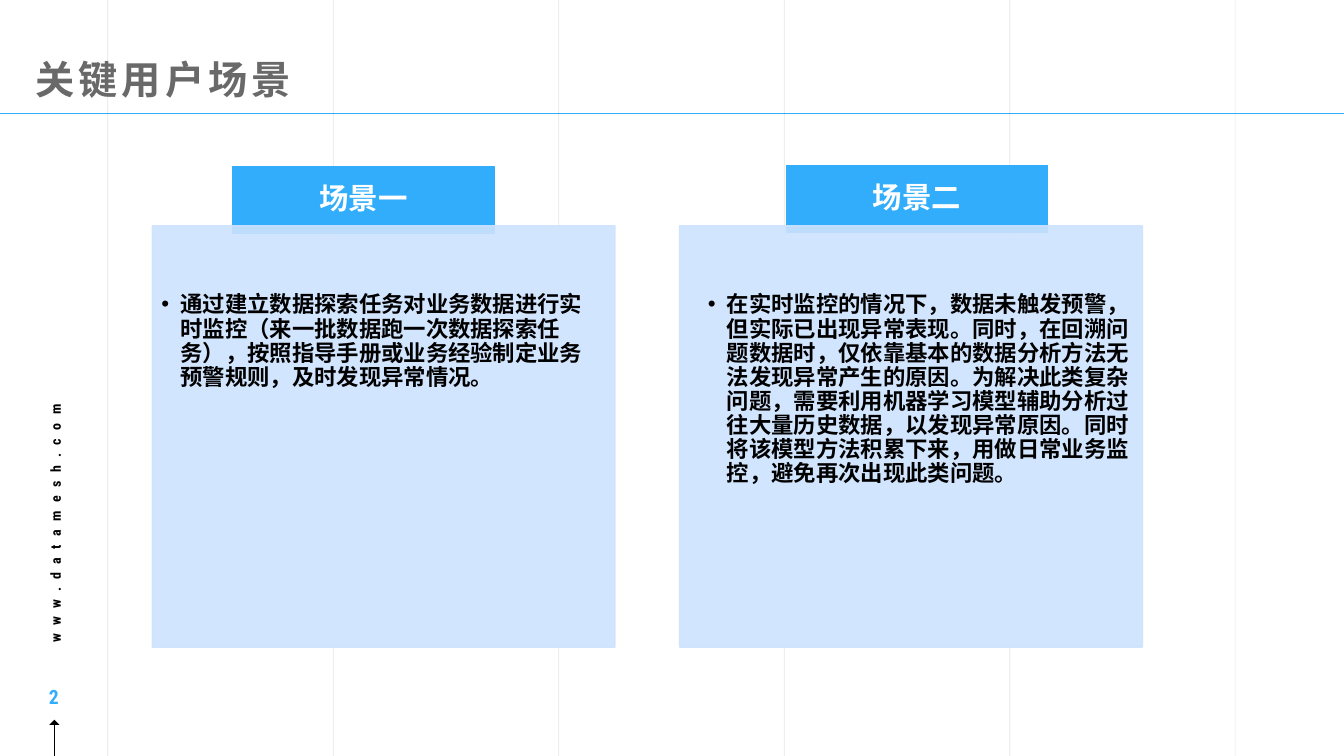
from lxml.etree import SubElement
from pptx import Presentation
from pptx.dml.color import RGBColor
from pptx.enum.shapes import MSO_CONNECTOR, MSO_SHAPE
from pptx.enum.text import MSO_ANCHOR as ANCHOR, PP_ALIGN as ALIGN
from pptx.oxml.ns import qn
from pptx.util import Inches, Pt

BLUE, PALE, BLACK = "31ADFC", "CEE3FE", "000000"
CJK, LATIN = "Noto Sans CJK SC", "Roboto Condensed"


def paint(fill, color):
    fill.solid()
    fill.fore_color.rgb = RGBColor.from_string(color)


def write(s, text, size, color, font=CJK, align=ALIGN.LEFT, anchor=ANCHOR.TOP,
          insets=(0.1, 0.05, 0.1, 0.05), leading=None, spacing=0, bullet=None):
    tf = s.text_frame
    tf.word_wrap = True
    tf.vertical_anchor = anchor
    tf.margin_left, tf.margin_top, tf.margin_right, tf.margin_bottom = map(Inches, insets)
    p = tf.paragraphs[0]
    p.alignment = align
    p.line_spacing = leading
    if bullet:
        pPr = p._p.get_or_add_pPr()
        pPr.set("marL", str(Inches(bullet)))
        pPr.set("indent", str(Inches(-0.19)))
        SubElement(pPr, qn("a:buFont")).set("typeface", "Arial")
        SubElement(pPr, qn("a:buChar")).set("char", "•")
    r = p.add_run()
    r.text = text
    r.font.size, r.font.bold, r.font.name = Pt(size), True, font
    paint(r.font.fill, color)
    rPr = r._r.get_or_add_rPr()
    SubElement(rPr, qn("a:ea")).set("typeface", CJK)
    if spacing:
        rPr.set("spc", str(spacing * 100))


prs = Presentation()
prs.slide_width, prs.slide_height = Inches(13.33), Inches(7.5)
slide = prs.slides.add_slide(prs.slide_layouts[6])
shapes = slide.shapes
translucent = []

# Title rule, arrow stem and faint vertical guides
lines = [(0, 1.12, 13.33, 1.12, BLUE, 0.25, 100),
         (0.54, 7.5, 0.54, 7.15, BLACK, 1, 100)]
for i in range(6):
    x = 1.07 + i * 2.236
    lines.append((x, 0, x, 7.5, BLACK, 0.5, 10))
for x1, y1, x2, y2, color, width, opacity in lines:
    s = shapes.add_connector(MSO_CONNECTOR.STRAIGHT, *map(Inches, (x1, y1, x2, y2)))
    paint(s.line.fill, color)
    s.line.width = Pt(width)
    SubElement(s.element.spPr, qn("a:effectLst"))
    translucent.append((s, opacity))

# Arrow tip
s = shapes.add_shape(MSO_SHAPE.ISOSCELES_TRIANGLE, *map(Inches, (0.49, 7.14, 0.1, 0.05)))
s.shadow.inherit = False
paint(s.fill, BLACK)
s.line.fill.background()

# Page number, web address and title
s = shapes.add_textbox(*map(Inches, (0.19, 6.64, 0.69, 0.54)))
write(s, "2", 14, BLUE, font=LATIN, align=ALIGN.CENTER, anchor=ANCHOR.MIDDLE,
      insets=(0.13, 0.07, 0.13, 0.07))
s = shapes.add_textbox(*map(Inches, (-0.83, 4.96, 2.76, 0.27)))
s.rotation = 270
write(s, "www.datamesh.com", 10, BLACK, font=LATIN, spacing=6)
s = shapes.add_textbox(*map(Inches, (0, 0, 11.5, 1.07)))
write(s, "关键用户场景", 28, "69696A", anchor=ANCHOR.BOTTOM,
      insets=(0.35, 0.05, 0.1, 0.05), leading=0.9, spacing=3)

# Scenario cards: heading tab behind a translucent panel
cards = [
    ("场景一", 2.31, 1.65, 1.51, CJK, 0.19,
     "通过建立数据探索任务对业务数据进行实时监控（来一批数据跑一次数据探索任务），"
     "按照指导手册或业务经验制定业务预警规则，及时发现异常情况。"),
    ("场景二", 7.8, 1.64, 6.74, "Arial", 0.38,
     "在实时监控的情况下，数据未触发预警，但实际已出现异常表现。同时，在回溯问题数据时，"
     "仅依靠基本的数据分析方法无法发现异常产生的原因。为解决此类复杂问题，"
     "需要利用机器学习模型辅助分析过往大量历史数据，以发现异常原因。"
     "同时将该模型方法积累下来，用做日常业务监控，避免再次出现此类问题。"),
]
for heading, tab_x, tab_y, panel_x, font, indent, body in cards:
    tab = shapes.add_shape(MSO_SHAPE.RECTANGLE, *map(Inches, (tab_x, tab_y, 2.59, 0.67)))
    panel = shapes.add_shape(MSO_SHAPE.RECTANGLE, *map(Inches, (panel_x, 2.24, 4.59, 4.18)))
    for s, color in ((tab, BLUE), (panel, PALE)):
        s.shadow.inherit = False
        paint(s.fill, color)
        paint(s.line.fill, color)
        s.line.width = Pt(1)
    write(tab, heading, 21, "FFFFFF", align=ALIGN.CENTER, anchor=ANCHOR.MIDDLE,
          insets=(0.16, 0.09, 0.16, 0.09), leading=0.9)
    write(panel, body, 16, BLACK, font=font, insets=(0.09, 0.67, 0.13, 0.14),
          leading=Pt(17.2), bullet=indent)
    translucent.append((panel, 90))

# Opacity in percent
for s, opacity in translucent:
    if opacity < 100:
        for clr in s.element.spPr.iter(qn("a:srgbClr")):
            SubElement(clr, qn("a:alpha")).set("val", str(opacity * 1000))

prs.save("out.pptx")
